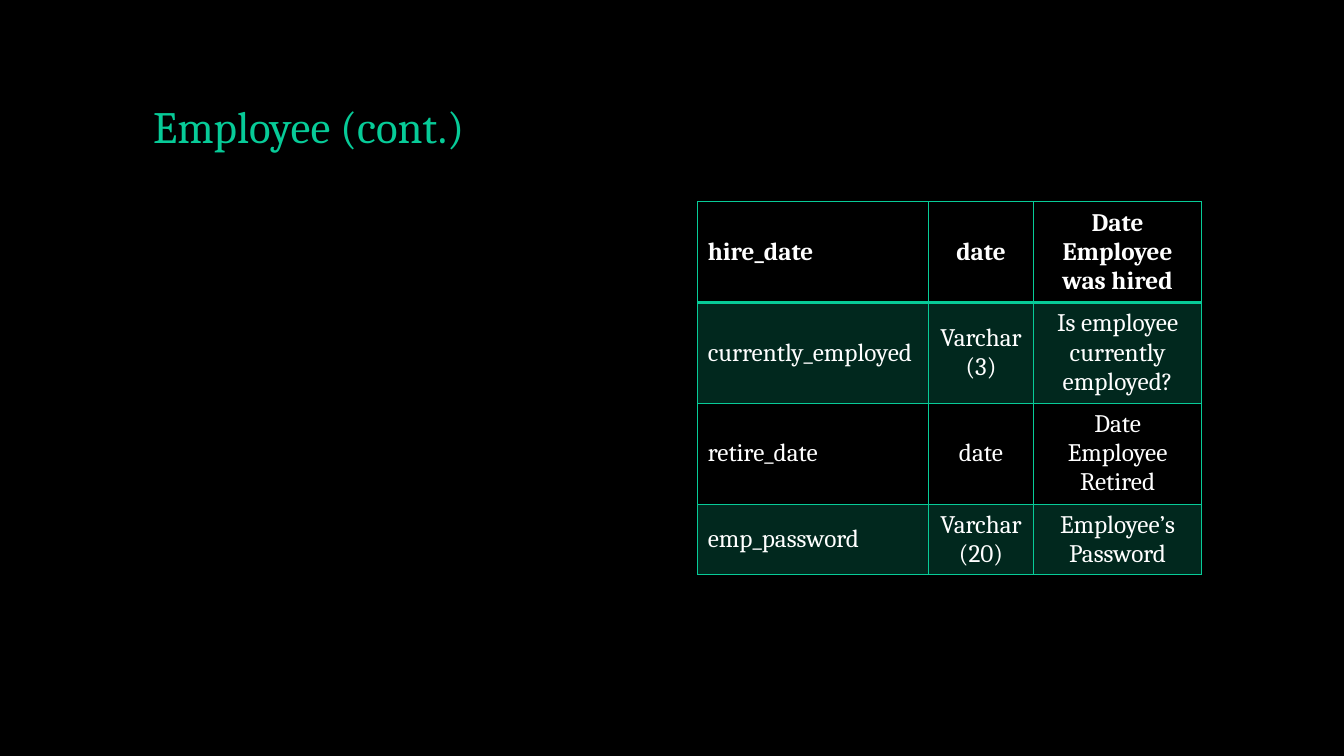
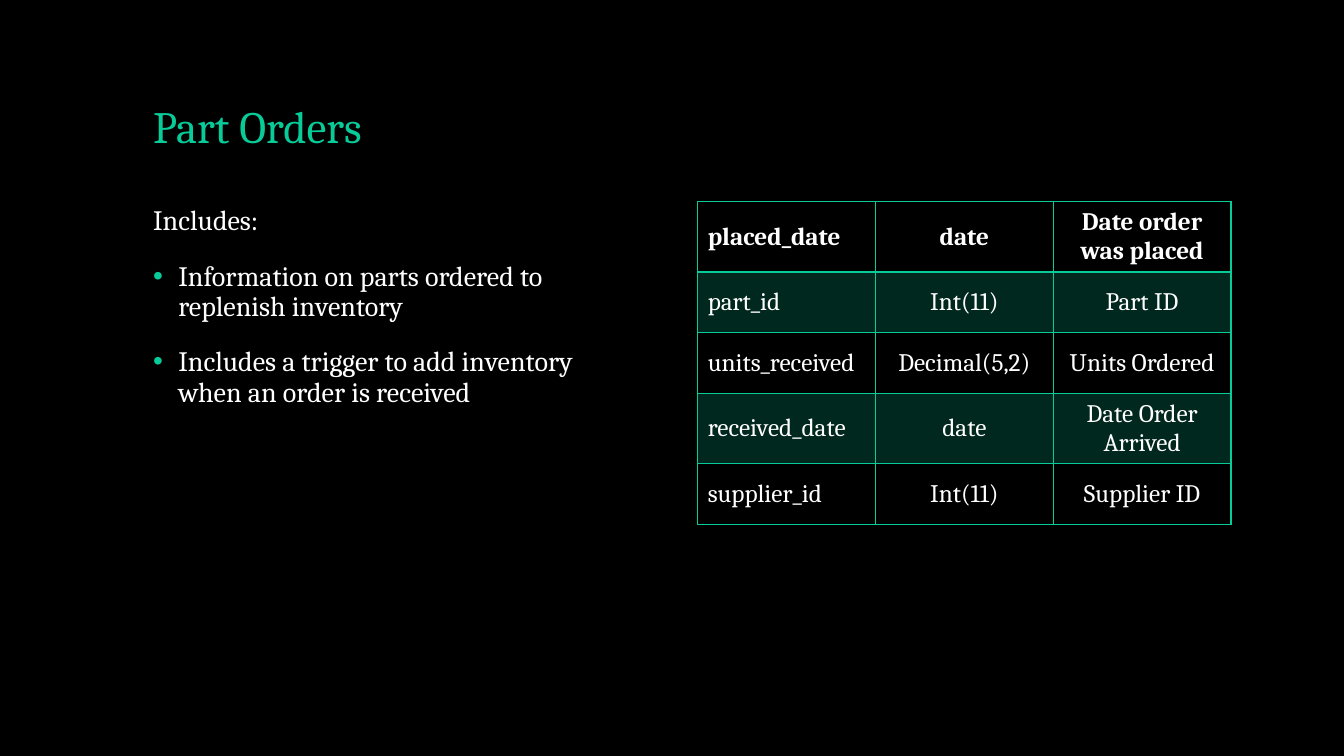
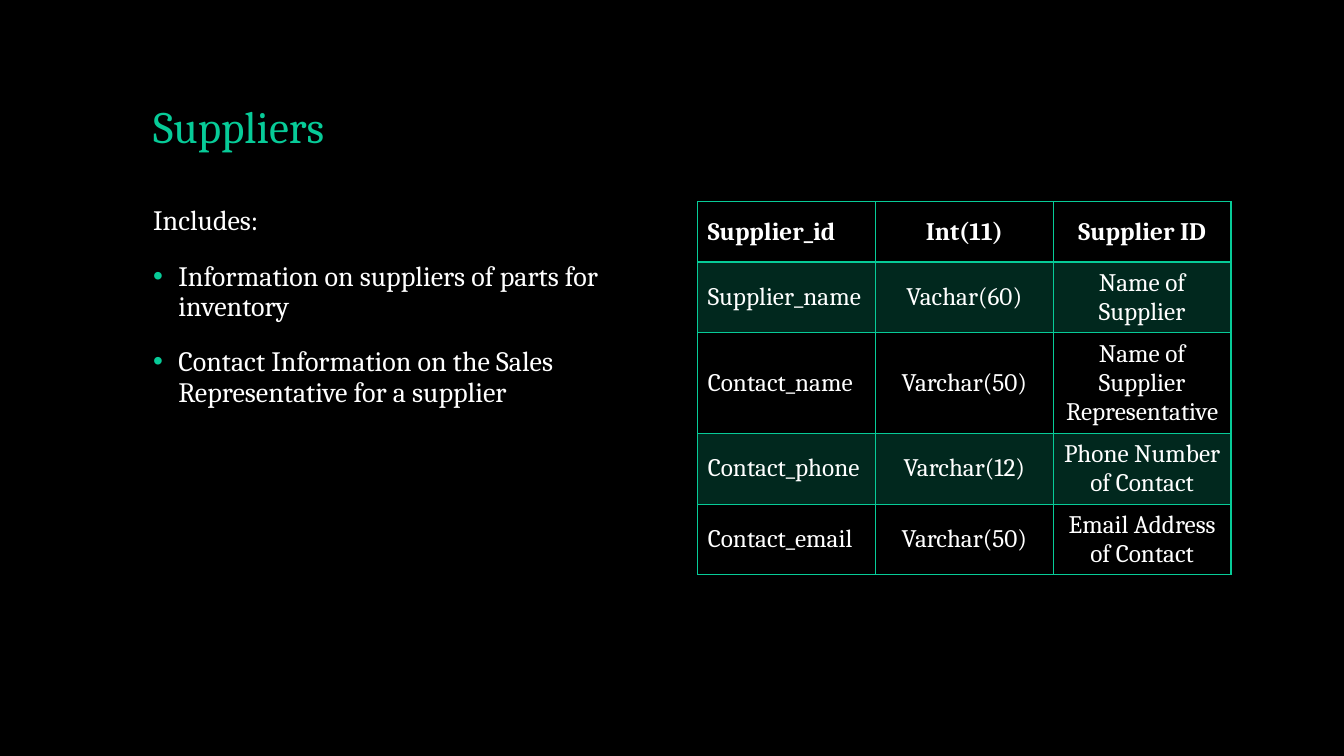
"""Build three slides that describe database tables."""

from dataclasses import dataclass

from lxml.etree import SubElement
from pptx import Presentation
from pptx.dml.color import RGBColor
from pptx.enum.text import MSO_ANCHOR as Anchor, PP_ALIGN as Align
from pptx.oxml import parse_xml
from pptx.oxml.ns import nsdecls, qn
from pptx.slide import Slide
from pptx.table import _Cell as Cell
from pptx.text.text import TextFrame, _Paragraph as Paragraph
from pptx.util import Emu, Pt

EMU_PER_PX = 9144


@dataclass(frozen=True)
class Theme:
    """Colours, font and type sizes shared by the slides."""

    background: str = "000000"
    accent: str = "07CB98"
    text: str = "FFFFFF"
    font: str = "Cambria"
    title_size: int = 32
    body_size: int = 20
    table_size: int = 18
    line_spacing: float = 0.9
    paragraph_gap: int = 18
    band_alpha: int = 20
    rule: int = 1
    header_rule: int = 2


@dataclass(frozen=True)
class Box:
    """A rectangle in px."""

    left: int
    top: int
    width: int
    height: int

    def emu(self) -> tuple[Emu, Emu, Emu, Emu]:
        """Return the rectangle in EMU."""
        return px(self.left), px(self.top), px(self.width), px(self.height)


@dataclass(frozen=True)
class TableSlide:
    """The content of one slide."""

    title: str
    rows: tuple[tuple[str, str, str], ...]
    bullets: tuple[str, ...] = ()
    table_width: int = 529
    column_shares: tuple[int, ...] = (1, 1, 1)


THEME = Theme()
SLIDE_WIDTH, SLIDE_HEIGHT = 1333, 750
TITLE_BOX = Box(142, 40, 1050, 117)
BODY_BOX = Box(142, 200, 500, 476)
TABLE_LEFT, TABLE_TOP, ROW_HEIGHT = 692, 200, 60
BULLET_INDENT = 25

SLIDES = (
    TableSlide(
        "Employee (cont.)",
        (
            ("hire_date", "date", "Date Employee was hired"),
            ("currently_employed", "Varchar(3)", "Is employee currently employed?"),
            ("retire_date", "date", "Date Employee Retired"),
            ("emp_password", "Varchar(20)", "Employee’s Password"),
        ),
        table_width=500,
        column_shares=(229, 104, 167),
    ),
    TableSlide(
        "Part Orders",
        (
            ("placed_date", "date", "Date order was placed"),
            ("part_id", "Int(11)", "Part ID"),
            ("units_received", "Decimal(5,2)", "Units Ordered"),
            ("received_date", "date", "Date Order Arrived"),
            ("supplier_id", "Int(11)", "Supplier ID"),
        ),
        (
            "Information on parts ordered to replenish inventory",
            "Includes a trigger to add inventory when an order is received",
        ),
    ),
    TableSlide(
        "Suppliers",
        (
            ("Supplier_id", "Int(11)", "Supplier ID"),
            ("Supplier_name", "Vachar(60)", "Name of Supplier"),
            ("Contact_name", "Varchar(50)", "Name of Supplier Representative"),
            ("Contact_phone", "Varchar(12)", "Phone Number of Contact"),
            ("Contact_email", "Varchar(50)", "Email Address of Contact"),
        ),
        (
            "Information on suppliers of parts for inventory",
            "Contact Information on the Sales Representative for a supplier",
        ),
    ),
)


def px(length: int) -> Emu:
    """Turn px into EMU."""
    return Emu(length * EMU_PER_PX)


def style_text(paragraph: Paragraph, size: int, color: str, bold: bool = False) -> None:
    """Format every run of a paragraph."""
    for run in paragraph.runs:
        run.font.name = THEME.font
        run.font.size = Pt(size)
        run.font.bold = bold
        run.font.color.rgb = RGBColor.from_string(color)


def add_text_box(slide: Slide, box: Box, anchor: Anchor) -> TextFrame:
    """Add a wrapping text box and return its frame."""
    text_frame = slide.shapes.add_textbox(*box.emu()).text_frame
    text_frame.word_wrap = True
    text_frame.vertical_anchor = anchor
    return text_frame


def add_title(slide: Slide, title: str) -> None:
    """Add the slide title."""
    text_frame = add_text_box(slide, TITLE_BOX, Anchor.BOTTOM)
    text_frame.text = title
    paragraph = text_frame.paragraphs[0]
    paragraph.line_spacing = THEME.line_spacing
    style_text(paragraph, THEME.title_size, THEME.accent)


def add_bullet(paragraph: Paragraph) -> None:
    """Give a paragraph a hanging accent bullet."""
    properties = paragraph._p.get_or_add_pPr()
    properties.set("marL", str(px(BULLET_INDENT)))
    properties.set("indent", str(-px(BULLET_INDENT)))
    color = SubElement(properties, qn("a:buClr"))
    SubElement(color, qn("a:srgbClr"), val=THEME.accent)
    SubElement(properties, qn("a:buFont"), typeface="Arial")
    SubElement(properties, qn("a:buChar"), char="•")


def add_body(slide: Slide, bullets: tuple[str, ...]) -> None:
    """Add the lead-in line and its bullets."""
    text_frame = add_text_box(slide, BODY_BOX, Anchor.TOP)
    text_frame.text = "\n".join(("Includes:", *bullets))
    for index, paragraph in enumerate(text_frame.paragraphs):
        paragraph.line_spacing = THEME.line_spacing
        if index:
            paragraph.space_before = Pt(THEME.paragraph_gap)
            add_bullet(paragraph)
        style_text(paragraph, THEME.body_size, THEME.text)


def fill_cell(cell: Cell, banded: bool) -> None:
    """Give a cell a translucent band or no fill."""
    if not banded:
        cell.fill.background()
        return
    cell.fill.solid()
    cell.fill.fore_color.rgb = RGBColor.from_string(THEME.accent)
    color = cell._tc.tcPr.find(f".//{qn('a:srgbClr')}")
    SubElement(color, qn("a:alpha"), val=str(THEME.band_alpha * 1000))


def draw_borders(cell: Cell, top: int, bottom: int) -> None:
    """Draw the four accent borders of a cell."""
    widths = {"lnL": THEME.rule, "lnR": THEME.rule, "lnT": top, "lnB": bottom}
    properties = cell._tc.get_or_add_tcPr()
    for position, (side, width) in enumerate(widths.items()):
        border = parse_xml(
            f'<a:{side} {nsdecls("a")} w="{Pt(width)}"><a:solidFill>'
            f'<a:srgbClr val="{THEME.accent}"/></a:solidFill></a:{side}>'
        )
        properties.insert(position, border)


def add_field_table(slide: Slide, content: TableSlide) -> None:
    """Add the table of field names, types and meanings."""
    row_count, column_count = len(content.rows), len(content.column_shares)
    box = Box(TABLE_LEFT, TABLE_TOP, content.table_width, ROW_HEIGHT * row_count)
    table = slide.shapes.add_table(row_count, column_count, *box.emu()).table
    table.horz_banding = False
    for column, share in zip(table.columns, content.column_shares):
        column.width = Emu(px(content.table_width) * share // sum(content.column_shares))
    for row_index, row in enumerate(content.rows):
        for column_index, text in enumerate(row):
            cell = table.cell(row_index, column_index)
            cell.text_frame.text = text
            cell.vertical_anchor = Anchor.MIDDLE
            paragraph = cell.text_frame.paragraphs[0]
            paragraph.alignment = Align.CENTER if column_index else Align.LEFT
            style_text(paragraph, THEME.table_size, THEME.text, row_index == 0)
            fill_cell(cell, row_index % 2 == 1)
            draw_borders(
                cell,
                top=THEME.header_rule if row_index == 1 else THEME.rule,
                bottom=THEME.header_rule if row_index == 0 else THEME.rule,
            )


def main() -> None:
    """Build and save the presentation."""
    presentation = Presentation()
    presentation.slide_width = px(SLIDE_WIDTH)
    presentation.slide_height = px(SLIDE_HEIGHT)
    for content in SLIDES:
        slide = presentation.slides.add_slide(presentation.slide_layouts[6])
        slide.background.fill.solid()
        slide.background.fill.fore_color.rgb = RGBColor.from_string(THEME.background)
        add_title(slide, content.title)
        if content.bullets:
            add_body(slide, content.bullets)
        add_field_table(slide, content)
    presentation.save("out.pptx")


if __name__ == "__main__":
    main()
